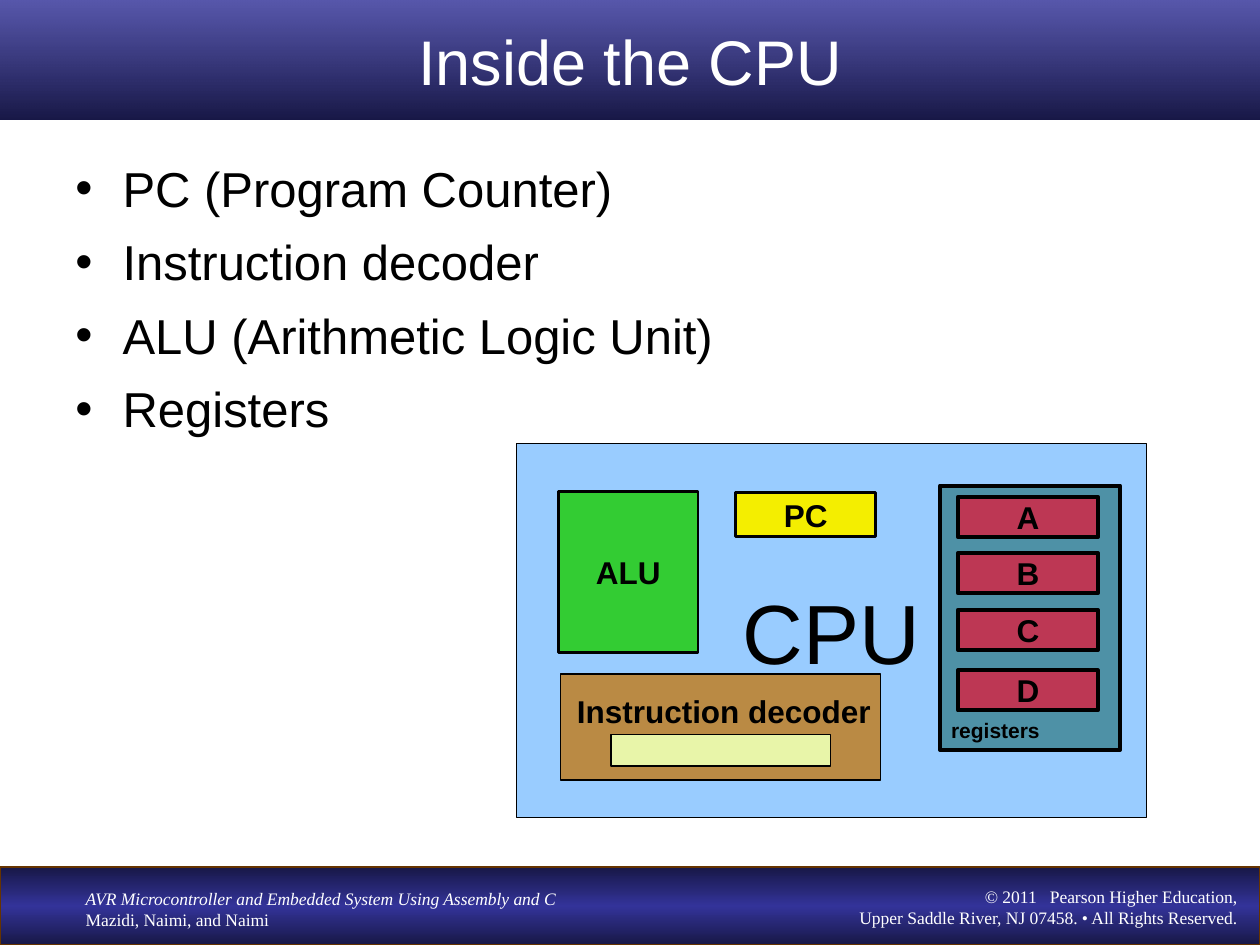
from copy import deepcopy

from lxml import etree
from pptx import Presentation
from pptx.dml.color import RGBColor
from pptx.enum.shapes import MSO_SHAPE
from pptx.enum.text import MSO_ANCHOR, PP_ALIGN
from pptx.oxml.ns import qn
from pptx.util import Pt

COLORS = {
    "white": "FFFFFF", "black": "000000", "navy": "181847", "indigo": "333399",
    "brown": "663300", "sky": "99CCFF", "yellow": "F4EE00", "green": "33CC33",
    "teal": "4E91A6", "crimson": "BD3754", "tan": "BA8A44", "cream": "E8F5A9",
}


def paint_gradient(shape, top, bottom):
    """Fill a shape from top to bottom and return its two stops."""
    shape.fill.gradient()
    shape.fill.gradient_angle = 270
    stops = shape.fill.gradient_stops
    for stop, color, position in zip(stops, (top, bottom), (0, 1)):
        stop.color.rgb = RGBColor.from_string(COLORS[color])
        stop.position = position
    return shape._element.spPr.findall(".//" + qn("a:gs"))


def format_para(para, size, color="black", name="Arial", bold=False, italic=False,
                align=PP_ALIGN.LEFT):
    para.alignment = align
    for span in para.runs:
        span.font.name = name
        span.font.size = Pt(size)
        span.font.bold = bold
        span.font.italic = italic
        span.font.color.rgb = RGBColor.from_string(COLORS[color])


deck = Presentation()
deck.slide_width, deck.slide_height = Pt(720), Pt(540)
page = deck.slides.add_slide(deck.slide_layouts[5])
shapes = page.shapes

# Title band, slightly see-through at the top
title = shapes.title
title.left, title.top, title.width, title.height = Pt(0), Pt(0), Pt(720), Pt(68.4)
first_stop, last_stop = paint_gradient(title, "indigo", "navy")
etree.SubElement(first_stop[0], qn("a:alpha"), val="82000")
title.text_frame.text = "Inside the CPU"
title.text_frame.vertical_anchor = MSO_ANCHOR.MIDDLE
format_para(title.text_frame.paragraphs[0], 36, "white", align=PP_ALIGN.CENTER)

# Footer band, lightest in the middle
footer = shapes.add_shape(MSO_SHAPE.RECTANGLE, Pt(0), Pt(495.4), Pt(720), Pt(44.6))
footer.shadow.inherit = False
footer.line.color.rgb = RGBColor.from_string(COLORS["brown"])
footer.line.width = Pt(0.75)
first_stop, last_stop = paint_gradient(footer, "navy", "navy")
middle_stop = deepcopy(first_stop)
middle_stop.set("pos", "50000")
middle_stop[0].set("val", COLORS["indigo"])
first_stop.addnext(middle_stop)

# Text boxes: left, top, width, height, lines, font settings
book = ["AVR Microcontroller and Embedded System Using Assembly and C",
        "Mazidi, Naimi, and Naimi"]
rights = ["© 2011   Pearson Higher Education,\vUpper Saddle River, NJ 07458. • All Rights Reserved."]
topics = ["PC (Program Counter)", "Instruction decoder",
          "ALU (Arithmetic Logic Unit)", "Registers"]
serif = {"size": 10, "color": "white", "name": "Times New Roman"}
text_boxes = [
    (41.8, 504, 298, 31.7, book, serif),
    (414, 502.6, 300, 31.7, rights, {**serif, "align": PP_ALIGN.RIGHT}),
    (36, 87, 657.4, 424, topics, {"size": 28}),
]

# CPU blocks: left, top, width, height, fill, line width, label, label size
blocks = [
    (295.2, 253.4, 360, 213.8, "sky", 0.75, "CPU", 48),
    (420.5, 281.5, 80, 25.2, "yellow", 1.5, "PC", 18),
    (319, 280.8, 80, 92.2, "green", 1.5, "ALU", 18),
    (537.1, 277.5, 103, 151, "teal", 2.25, "", 0),
    (320.4, 385.2, 182.9, 60.5, "tan", 0.75, "", 0),
    (349.2, 419.8, 125.3, 18, "cream", 0.75, "", 0),
]
for name, top in zip("ABCD", (283.9, 316, 348.5, 383)):
    blocks.append((547.4, top, 80, 23, "crimson", 2.25, name, 18))

for left, top, width, height, fill, line, label, size in blocks:
    block = shapes.add_shape(MSO_SHAPE.RECTANGLE, Pt(left), Pt(top), Pt(width), Pt(height))
    block.shadow.inherit = False
    block.fill.solid()
    block.fill.fore_color.rgb = RGBColor.from_string(COLORS[fill])
    block.line.color.rgb = RGBColor.from_string(COLORS["black"])
    block.line.width = Pt(line)
    if label:
        block.text_frame.word_wrap = False
        block.text_frame.vertical_anchor = MSO_ANCHOR.MIDDLE
        block.text_frame.text = label
        format_para(block.text_frame.paragraphs[0], size, bold=label != "CPU",
                    align=PP_ALIGN.CENTER)

# Captions that lie over the blocks
text_boxes += [
    (536.4, 406.4, 101.5, 21.6, ["registers"], {"size": 12, "bold": True}),
    (319.7, 392, 188, 28.8, ["Instruction decoder"],
     {"size": 18, "bold": True, "align": PP_ALIGN.CENTER}),
]
for left, top, width, height, lines, font in text_boxes:
    box = shapes.add_textbox(Pt(left), Pt(top), Pt(width), Pt(height))
    frame = box.text_frame
    frame.word_wrap = True
    frame.text = "\n".join(lines)
    for index, para in enumerate(frame.paragraphs):
        if lines is topics:
            properties = para._p.get_or_add_pPr()
            properties.set("marL", str(Pt(27)))
            properties.set("indent", str(Pt(-27)))
            bullet_color = etree.SubElement(properties, qn("a:buClr"))
            etree.SubElement(bullet_color, qn("a:srgbClr"), val=COLORS["black"])
            etree.SubElement(properties, qn("a:buFont"), typeface="Arial")
            etree.SubElement(properties, qn("a:buChar"), char="•")
            if index > 0:
                para.space_before = Pt(8.4)
        format_para(para, italic=lines is book and index == 0, **font)

deck.save("out.pptx")
